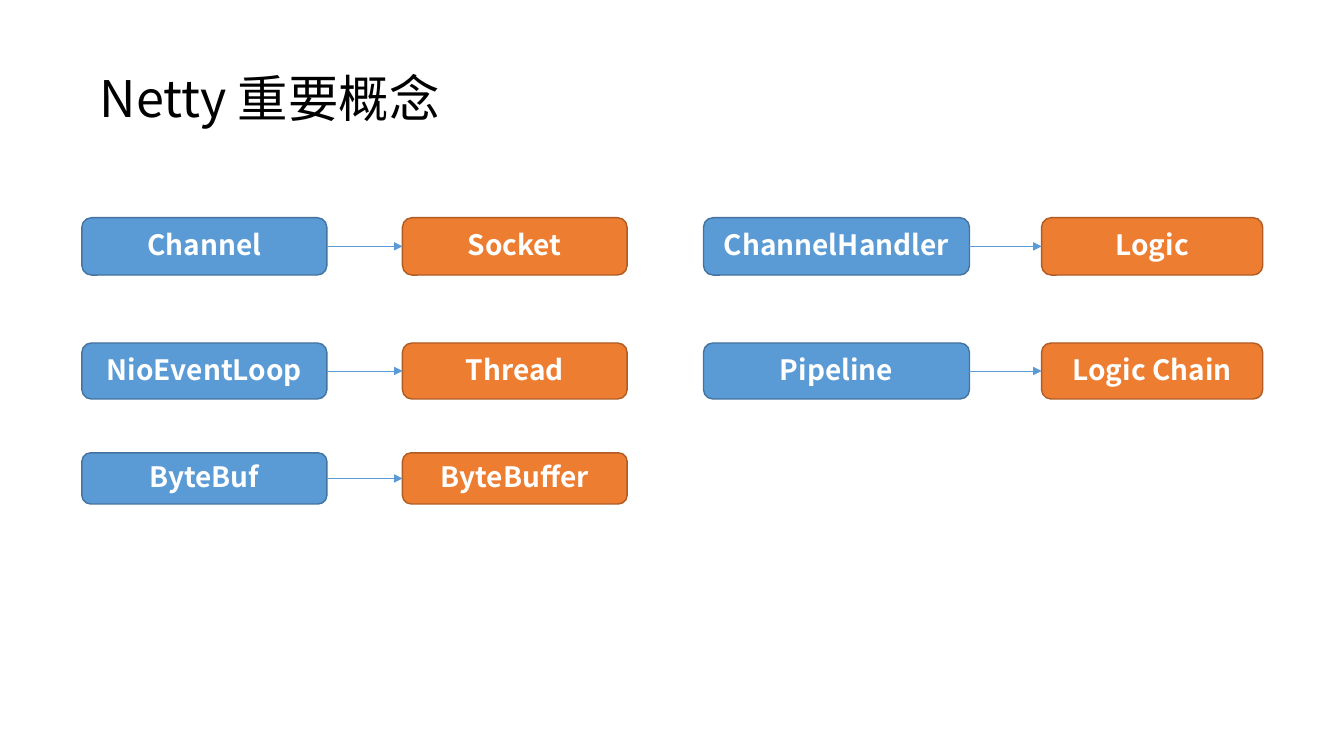
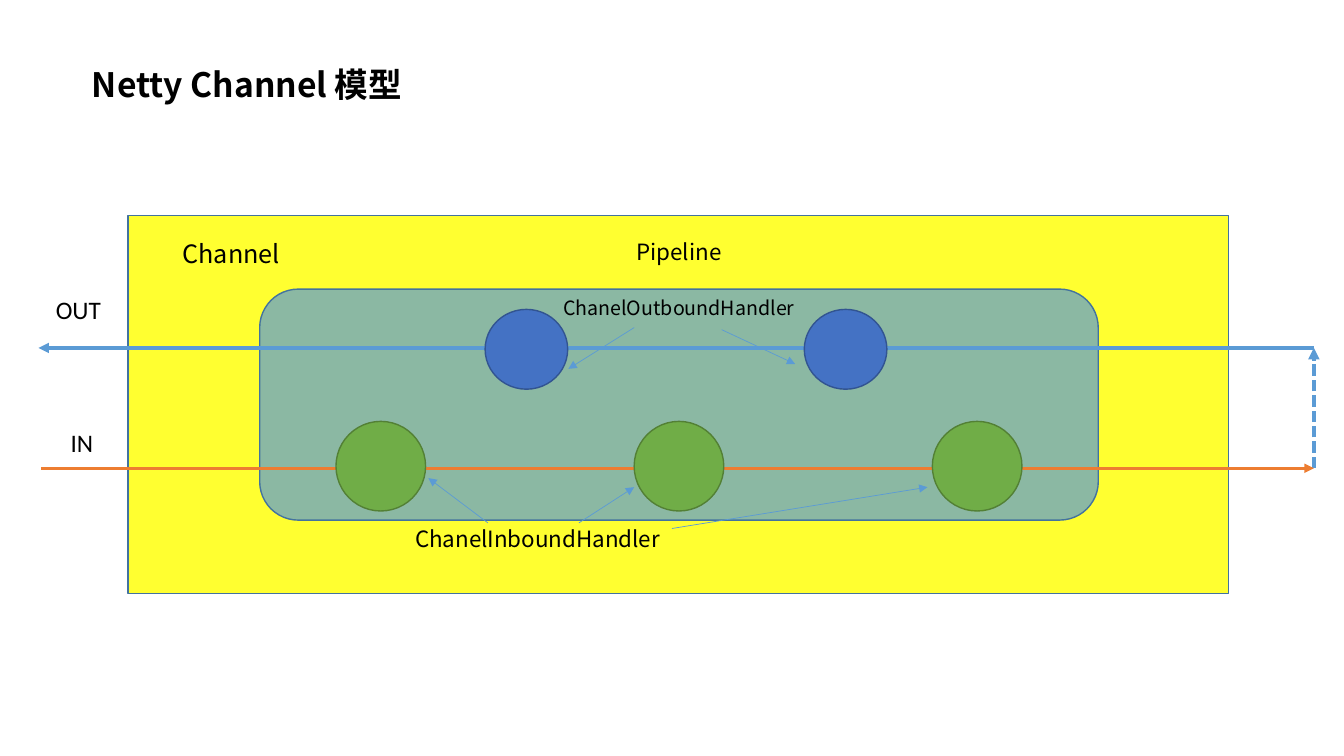
from pptx import Presentation
from pptx.dml.color import RGBColor
from pptx.enum.dml import MSO_LINE
from pptx.enum.shapes import MSO_CONNECTOR, MSO_SHAPE
from pptx.enum.text import MSO_ANCHOR, PP_ALIGN
from pptx.oxml.ns import qn
from pptx.util import Pt
from lxml import etree

RECT, ROUND, OVAL = MSO_SHAPE.RECTANGLE, MSO_SHAPE.ROUNDED_RECTANGLE, MSO_SHAPE.OVAL
STRAIGHT, DASH = MSO_CONNECTOR.STRAIGHT, MSO_LINE.SQUARE_DOT
LEFT, CENTER = PP_ALIGN.LEFT, PP_ALIGN.CENTER
TOP, MIDDLE = MSO_ANCHOR.TOP, MSO_ANCHOR.MIDDLE
SANS, CALIBRI = "Noto Sans CJK SC", "Calibri"
BLACK, WHITE, YELLOW = "000000", "FFFFFF", "FFFF00"
BLUE, BLUE_EDGE = "5B9BD5", "43739E"
ORANGE, ORANGE_EDGE = "ED7D31", "AF5C24"
GREEN, GREEN_EDGE = "70AD47", "538035"
INDIGO, INDIGO_EDGE = "4472C4", "325491"


def style(sp, text="", size=18, color=BLACK, bold=False, align=CENTER, anchor=TOP,
          font=SANS, fill=None, edge=None, alpha=100):
    """Format a shape's fill and outline, then write its text."""
    if fill:
        sp.shadow.inherit = False
        sp.fill.solid()
        sp.fill.fore_color.rgb = RGBColor.from_string(fill)
        sp.line.color.rgb = RGBColor.from_string(edge)
        sp.line.width = Pt(1)
        if alpha < 100:
            clr = sp.fill._xPr.find(qn("a:solidFill"))[0]
            etree.SubElement(clr, qn("a:alpha"), val=str(alpha * 1000))
    if not text:
        return
    tf = sp.text_frame
    tf.text = text
    tf.word_wrap = True
    tf.vertical_anchor = anchor
    p = tf.paragraphs[0]
    p.alignment = align
    p.line_spacing = 0.9 if font == SANS else 1.0
    r = p.runs[0]
    r.font.name, r.font.size, r.font.bold = font, Pt(size), bold
    r.font.color.rgb = RGBColor.from_string(color)
    etree.SubElement(r.font._element, qn("a:ea"), typeface=font)


def arrow(s, x1, y1, x2, y2, color=BLUE, width=0.5, dash=None):
    """Draw a straight line with an arrowhead at its end."""
    c = s.shapes.add_connector(STRAIGHT, Pt(x1), Pt(y1), Pt(x2), Pt(y2))
    c.line.color.rgb = RGBColor.from_string(color)
    c.line.width = Pt(width)
    if dash:
        c.line.dash_style = dash
    etree.SubElement(c.line._get_or_add_ln(), qn("a:tailEnd"), type="triangle")
    etree.SubElement(c._element.spPr, qn("a:effectLst"))


prs = Presentation()
prs.slide_width, prs.slide_height = Pt(960), Pt(540)

# Titles
slides = []
for text, size, bold, x, y, w, h in [
    ("Netty 重要概念", 36, False, 64, 49, 275, 51),
    ("Netty Channel 模型", 24, True, 58.5, 45.5, 306.5, 36),
]:
    s = prs.slides.add_slide(prs.slide_layouts[5])
    sp = s.shapes.title
    sp.left, sp.top, sp.width, sp.height = Pt(x), Pt(y), Pt(w), Pt(h)
    style(sp, text, size, bold=bold, align=LEFT)
    slides.append(s)
concepts, model = slides

# Concepts: each term points to its counterpart
ROWS = [(155.5, 41), (245, 40), (323.5, 36.5)]
columns = [
    (58.5, 175, 287.5, 160.5, [("Channel", "Socket"), ("NioEventLoop", "Thread"),
                               ("ByteBuf", "ByteBuffer")]),
    (502.5, 190, 744, 158, [("ChannelHandler", "Logic"), ("Pipeline", "Logic Chain")]),
]
for term_x, term_w, match_x, match_w, pairs in columns:
    for (y, h), (term, match) in zip(ROWS, pairs):
        for x, w, text, fill, edge in [(term_x, term_w, term, BLUE, BLUE_EDGE),
                                       (match_x, match_w, match, ORANGE, ORANGE_EDGE)]:
            sp = concepts.shapes.add_shape(ROUND, Pt(x), Pt(y), Pt(w), Pt(h))
            style(sp, text, 20, WHITE, True, anchor=MIDDLE, fill=fill, edge=edge)
        arrow(concepts, term_x + term_w, y + h / 2, match_x, y + h / 2)

# Channel model: channel and pipeline areas
for kind, x, y, w, h, fill, alpha in [
    (RECT, 91.5, 154, 786, 270, YELLOW, 81),
    (ROUND, 185.5, 206.5, 599, 165, BLUE, 70),
]:
    sp = model.shapes.add_shape(kind, Pt(x), Pt(y), Pt(w), Pt(h))
    style(sp, fill=fill, edge=BLUE_EDGE, alpha=alpha)

# Inbound flow, turn and outbound flow
IN_Y, OUT_Y, TURN_X = 334.5, 248.5, 938.5
arrow(model, TURN_X, IN_Y, TURN_X, OUT_Y, width=2.75, dash=DASH)
arrow(model, 29.5, IN_Y, TURN_X, IN_Y, ORANGE, 2.25)
arrow(model, TURN_X, OUT_Y, 27.5, OUT_Y, width=2.5)

# Handlers, evenly spaced along each flow
for count, x, step, y, w, h, fill, edge in [
    (3, 240, 213, 301, 64, 64, GREEN, GREEN_EDGE),
    (2, 346.5, 228, 221, 59, 57, INDIGO, INDIGO_EDGE),
]:
    for i in range(count):
        sp = model.shapes.add_shape(OVAL, Pt(x + i * step), Pt(y), Pt(w), Pt(h))
        style(sp, fill=fill, edge=edge)

# Labels
for text, size, font, x, y, w, h in [
    ("Pipeline", 16, SANS, 413, 169, 144, 26.5),
    ("Channel", 18, SANS, 106.5, 169, 117.5, 24.5),
    ("OUT", 18, CALIBRI, 27.5, 206.5, 57, 29),
    ("IN", 18, CALIBRI, 31, 301.5, 55, 29),
    ("ChanelInboundHandler", 16, SANS, 280, 373.5, 208, 26.5),
    ("ChanelOutboundHandler", 14, SANS, 381, 209.5, 208, 24.5),
]:
    sp = model.shapes.add_textbox(Pt(x), Pt(y), Pt(w), Pt(h))
    style(sp, text, size, font=font)

# Pointers from labels to handlers
for ends in [
    (348.5, 373.5, 306, 341.5), (413.5, 373.5, 453, 348), (480, 377.5, 662.5, 348),
    (453, 234, 406, 263.5), (515.5, 235.5, 568, 260),
]:
    arrow(model, *ends)

prs.save("out.pptx")
